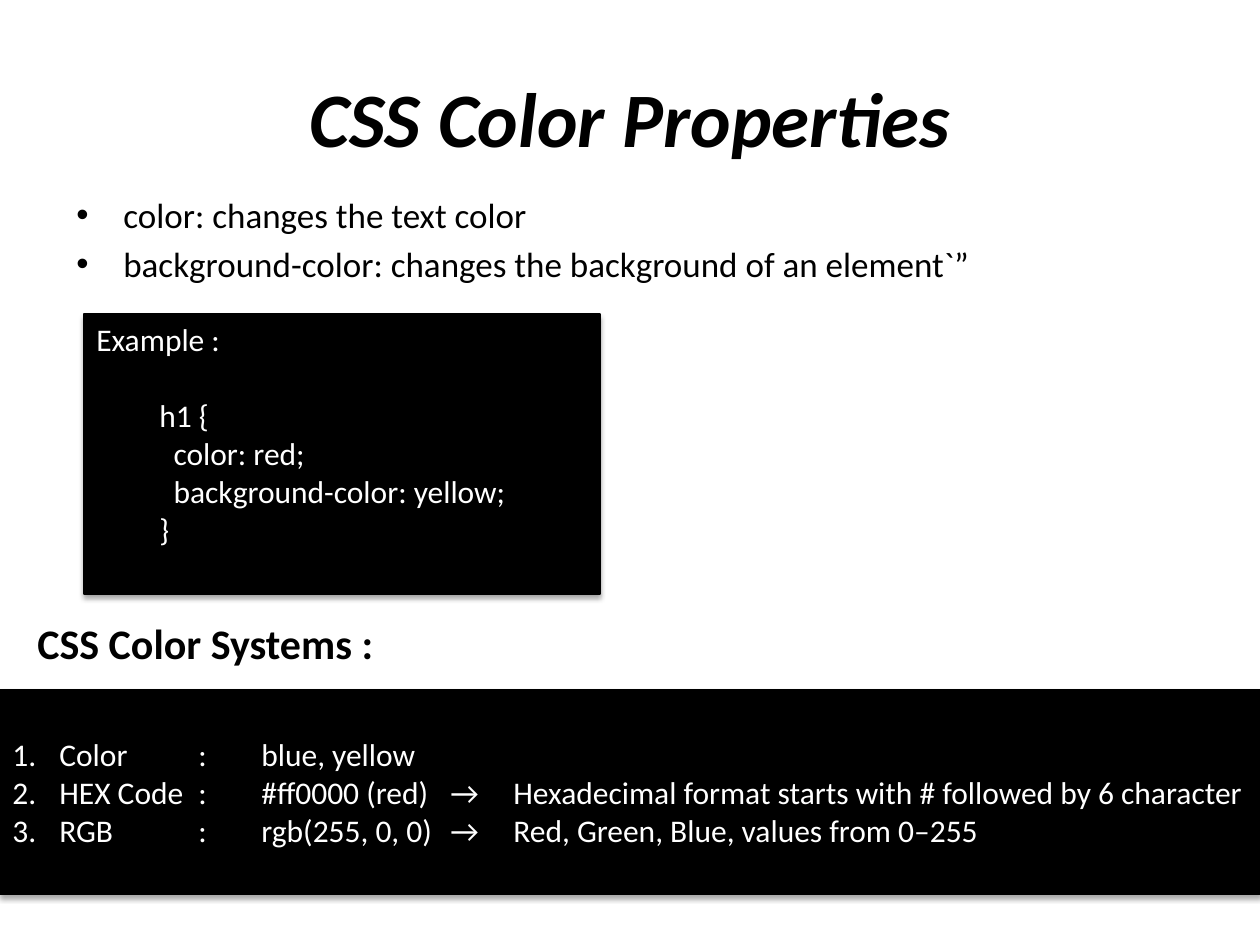
from lxml.etree import SubElement
from pptx import Presentation
from pptx.dml.color import RGBColor
from pptx.enum.shapes import MSO_SHAPE
from pptx.enum.text import MSO_ANCHOR, PP_ALIGN
from pptx.oxml.ns import qn
from pptx.util import Emu, Pt

FONT = "Calibri"
BLACK = RGBColor(0x00, 0x00, 0x00)
WHITE = RGBColor(0xFF, 0xFF, 0xFF)
PX_PER_INCH = 126
HANGING = 47


def px(length):
    """Turn a length in px into EMU."""
    return Emu(round(length * 914400 / PX_PER_INCH))


def add_text_box(page, box, anchor=MSO_ANCHOR.TOP):
    """Add a wrapping text box and return its text frame."""
    frame = page.shapes.add_textbox(*map(px, box)).text_frame
    frame.word_wrap = True
    frame.vertical_anchor = anchor
    return frame


def add_panel(page, box, anchor):
    """Add a black panel with a soft shadow below it and return its text frame."""
    panel = page.shapes.add_shape(MSO_SHAPE.RECTANGLE, *map(px, box))
    panel.shadow.inherit = False
    panel.fill.solid()
    panel.fill.fore_color.rgb = BLACK
    panel.line.color.rgb = BLACK
    panel.line.width = Pt(0.75)
    effects = panel._element.spPr.find(qn("a:effectLst"))
    shadow = SubElement(effects, qn("a:outerShdw"), blurRad=str(Pt(3.1)),
                        dist=str(Pt(1.8)), dir="5400000", rotWithShape="0")
    color = SubElement(shadow, qn("a:srgbClr"), val="000000")
    SubElement(color, qn("a:alpha"), val="35000")
    frame = panel.text_frame
    frame.word_wrap = True
    frame.vertical_anchor = anchor
    return frame


def write(frame, text, size=18, color=BLACK, bold=False, italic=False,
          align=PP_ALIGN.LEFT, before=0, indent=0, bullet=None, numbered=False, tabs=()):
    """Write one paragraph, using the empty first one when it is still free."""
    first = frame.paragraphs[0]
    para = frame.add_paragraph() if first.runs else first
    para.alignment = align
    para.space_before = Pt(before)
    properties = para._p.get_or_add_pPr()
    listed = bullet or numbered
    properties.set("marL", str(px(HANGING if listed else indent)))
    properties.set("indent", str(px(-HANGING if listed else 0)))
    if bullet:
        SubElement(properties, qn("a:buFont"), typeface="Arial")
        SubElement(properties, qn("a:buChar"), char=bullet)
    if numbered:
        SubElement(properties, qn("a:buFont"), typeface="+mj-lt")
        SubElement(properties, qn("a:buAutoNum"), type="arabicPeriod")
    if tabs:
        stops = SubElement(properties, qn("a:tabLst"))
        for stop in tabs:
            SubElement(stops, qn("a:tab"), pos=str(px(stop)), algn="l")
    span = para.add_run()
    span.text = text
    span.font.name = FONT
    span.font.size = Pt(size)
    span.font.bold = bold
    span.font.italic = italic
    span.font.color.rgb = color


def add_title(page, box):
    """Place the slide title."""
    frame = add_text_box(page, box, MSO_ANCHOR.MIDDLE)
    write(frame, "CSS Color Properties", size=44, bold=True, italic=True,
          align=PP_ALIGN.CENTER)


def add_properties(page, box):
    """Place the bulleted list of color properties."""
    frame = add_text_box(page, box)
    write(frame, "color: changes the text color", size=20, bullet="•")
    write(frame, "background-color: changes the background of an element`”",
          size=20, bullet="•", before=4)


def add_example(page, box):
    """Place the panel with the sample style rule."""
    frame = add_panel(page, box, MSO_ANCHOR.TOP)
    write(frame, "Example :", color=WHITE)
    code = ("h1 {", "  color: red;", "  background-color: yellow;", "}")
    for number, line in enumerate(code):
        write(frame, line, color=WHITE, indent=63, before=0 if number else 22)


def add_heading(page, box):
    """Place the heading of the color systems."""
    write(add_text_box(page, box), "CSS Color Systems :", size=24, bold=True)


def add_systems(page, box):
    """Place the numbered color systems and their tabbed definitions."""
    left, top, width, height = box
    offset = 186
    names = add_panel(page, box, MSO_ANCHOR.MIDDLE)
    definitions = add_text_box(page, (left + offset, top, width - offset, height),
                               MSO_ANCHOR.MIDDLE)
    systems = (
        ("Color", ":\tblue, yellow"),
        ("HEX Code",
         ":\t#ff0000 (red)\t→\tHexadecimal format starts with # followed by 6 character"),
        ("RGB", ":\trgb(255, 0, 0)\t→\tRed, Green, Blue, values from 0–255"),
    )
    for name, definition in systems:
        write(names, name, color=WHITE, numbered=True)
        write(definitions, definition, color=WHITE, tabs=(26, 226, 280))


def main():
    """Build the slide and save the deck."""
    deck = Presentation()
    deck.slide_width, deck.slide_height = px(1260), px(945)
    page = deck.slides.add_slide(deck.slide_layouts[6])
    add_title(page, (63, 38, 1134, 158))
    add_properties(page, (64, 187, 1123, 123))
    add_example(page, (84, 314, 516, 280))
    add_heading(page, (25, 611, 427, 63))
    add_systems(page, (0, 690, 1260, 204))
    deck.save("out.pptx")


if __name__ == "__main__":
    main()
